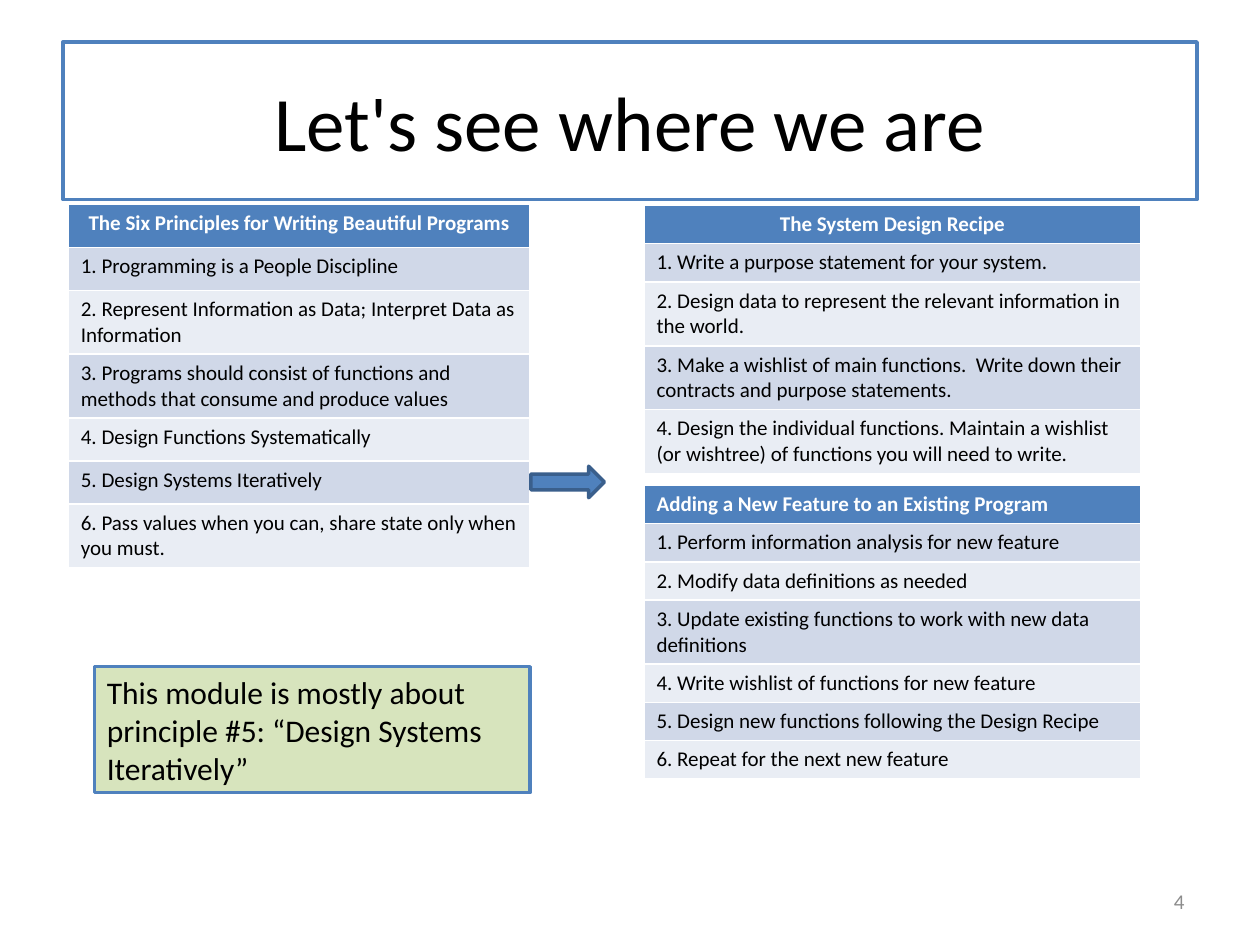
"""Build the slide that maps the six principles to the design recipes."""
from pptx import Presentation
from pptx.dml.color import RGBColor as RGB
from pptx.enum.shapes import MSO_SHAPE as Kind
from pptx.enum.text import MSO_ANCHOR as Anchor, PP_ALIGN as Align
from pptx.util import Pt

BLUE = RGB(0x4F, 0x81, 0xBD)
NAVY = RGB(0x3A, 0x5F, 0x8C)
GREEN = RGB(0xD7, 0xE4, 0xBD)
DARK = RGB(0xD0, 0xD8, 0xE8)
PALE = RGB(0xE9, 0xED, 0xF4)
GREY = RGB(0x8C, 0x8C, 0x8C)
BLACK = RGB(0, 0, 0)
WHITE = RGB(255, 255, 255)


def write(frame, text, size=12, color=BLACK, bold=False, align=Align.LEFT, anchor=Anchor.TOP):
    frame.word_wrap = True
    frame.vertical_anchor = anchor
    par = frame.paragraphs[0]
    par.alignment = align
    run = par.add_run()
    run.text = text
    font = run.font
    font.name, font.size, font.bold = "Calibri", Pt(size), bold
    font.color.rgb = color


def paint(shape, fill, line, width):
    shape.fill.solid()
    shape.fill.fore_color.rgb = fill
    shape.line.color.rgb = line
    shape.line.width = Pt(width)


deck = Presentation()
deck.slide_width, deck.slide_height = Pt(720), Pt(540)
slide = deck.slides.add_slide(deck.slide_layouts[5])
shapes = slide.shapes

title = shapes.title
title.left, title.top, title.width, title.height = Pt(36), Pt(24), Pt(648), Pt(90)
paint(title, WHITE, BLUE, 2.25)
write(title.text_frame, "Let's see where we are", size=44, align=Align.CENTER,
      anchor=Anchor.MIDDLE)

tables = [
    (39, 116.8, 264, 24.6, Align.CENTER, [
        "The Six Principles for Writing Beautiful Programs",
        "1. Programming is a People Discipline",
        "2. Represent Information as Data; Interpret Data as Information",
        "3. Programs should consist of functions and methods that consume and produce values",
        "4. Design Functions Systematically",
        "5. Design Systems Iteratively",
        "6. Pass values when you can, share state only when you must.",
    ]),
    (368, 117.4, 284, 21.8, Align.CENTER, [
        "The System Design Recipe",
        "1. Write a purpose statement for your system.",
        "2. Design data to represent the relevant information in the world.",
        "3. Make a wishlist of main functions.  Write down their contracts and purpose statements.",
        "4. Design the individual functions. Maintain a wishlist (or wishtree) of functions "
        "you will need to write.",
    ]),
    (368, 277.4, 284, 21.8, Align.LEFT, [
        "Adding a New Feature to an Existing Program",
        "1. Perform information analysis for new feature",
        "2. Modify data definitions as needed",
        "3. Update existing functions to work with new data definitions",
        "4. Write wishlist of functions for new feature",
        "5. Design new functions following the Design Recipe",
        "6. Repeat for the next new feature",
    ]),
]
for left, top, width, low, align, lines in tables:
    tall = [36.4 if len(line) > 55 else low for line in lines]
    table = shapes.add_table(len(lines), 1, Pt(left), Pt(top), Pt(width), Pt(sum(tall))).table
    for i, line in enumerate(lines):
        table.rows[i].height = Pt(tall[i])
        cell = table.cell(i, 0)
        cell.fill.solid()
        if i == 0:
            cell.fill.fore_color.rgb = BLUE
            write(cell.text_frame, line, color=WHITE, bold=True, align=align)
        else:
            cell.fill.fore_color.rgb = DARK if i % 2 else PALE
            write(cell.text_frame, line)

arrow = shapes.add_shape(Kind.RIGHT_ARROW, Pt(303.4), Pt(266.4), Pt(42), Pt(18))
arrow.shadow.inherit = False
paint(arrow, BLUE, NAVY, 2)

note = shapes.add_shape(Kind.RECTANGLE, Pt(54), Pt(381), Pt(249), Pt(72))
note.shadow.inherit = False
paint(note, GREEN, BLUE, 2)
write(note.text_frame, "This module is mostly about principle #5: “Design Systems Iteratively”",
      size=18)

page = shapes.add_textbox(Pt(516), Pt(500.5), Pt(168), Pt(28.8))
write(page.text_frame, "4", color=GREY, align=Align.RIGHT, anchor=Anchor.MIDDLE)

deck.save("out.pptx")
